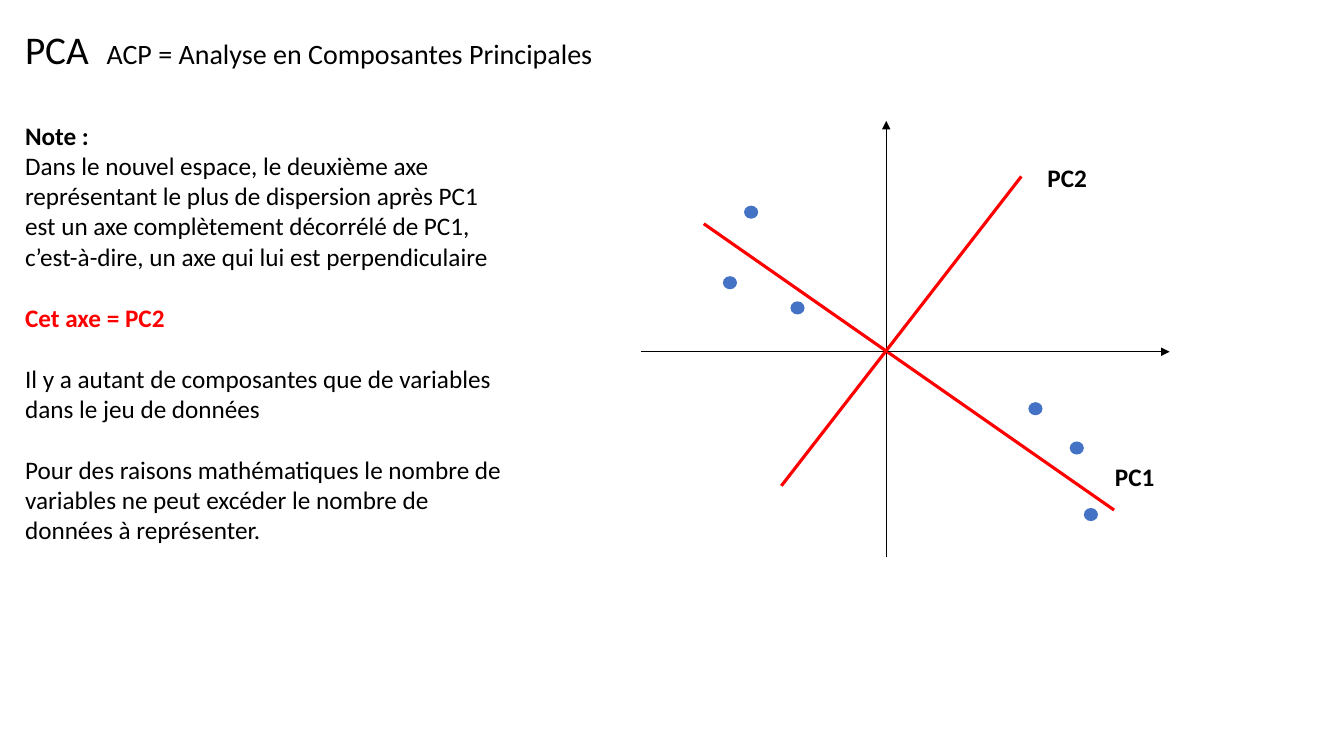
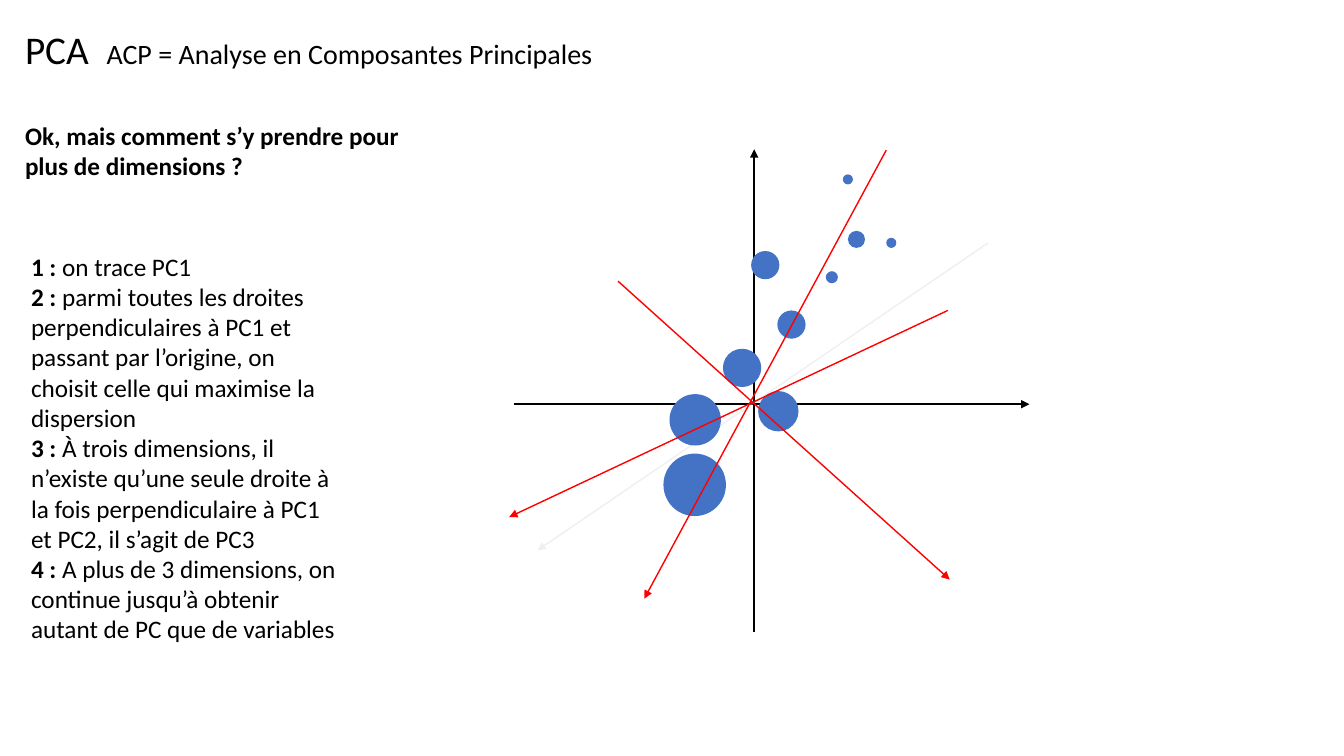
from pptx import Presentation
from pptx.dml.color import RGBColor
from pptx.enum.shapes import MSO_CONNECTOR, MSO_SHAPE
from pptx.oxml.ns import qn
from pptx.util import Inches, Pt
from lxml.etree import SubElement

FONT = "Calibri"
BLACK, RED, BLUE, GREY = "000000", "FF0000", "4472C4", "D9D9D9"
BODY_SIZE = 18
BLANK_LINE = 22  # points, one line of body text
color = RGBColor.from_string


def add_text(slide, box, paragraphs):
    """Each paragraph is (runs, colour, space before); each run is (text, size, bold)."""
    frame = slide.shapes.add_textbox(*map(Inches, box)).text_frame
    frame.word_wrap = True
    for index, (runs, text_color, gap) in enumerate(paragraphs):
        paragraph = frame.paragraphs[0] if index == 0 else frame.add_paragraph()
        paragraph.space_before = Pt(gap)
        paragraph.font.name = FONT
        paragraph.font.color.rgb = color(text_color)
        for text, size, bold in runs:
            run = paragraph.add_run()
            run.text = text
            run.font.name = FONT
            run.font.color.rgb = color(text_color)
            run.font.size, run.font.bold = Pt(size), bold


def add_line(slide, ends, line_color, width, arrow):
    connector = slide.shapes.add_connector(MSO_CONNECTOR.STRAIGHT, *map(Inches, ends))
    connector.line.color.rgb = color(line_color)
    connector.line.width = Pt(width)
    properties = connector._element.spPr
    outline = properties.find(qn("a:ln"))
    if line_color == GREY:  # the depth axis is faint
        SubElement(outline.find(".//" + qn("a:srgbClr")), qn("a:alpha"), val="40000")
    if arrow:
        SubElement(outline, qn("a:tailEnd"), type="triangle")
    SubElement(properties, qn("a:effectLst"))


# Slide 1: second component in the plane
note = [
    ("Note :", True, BLACK, 0),
    ("Dans le nouvel espace, le deuxième axe représentant le plus de dispersion après PC1 "
     "est un axe complètement décorrélé de PC1, c’est-à-dire, un axe qui lui est "
     "perpendiculaire", False, BLACK, 0),
    ("Cet axe = PC2", True, RED, BLANK_LINE),
    ("Il y a autant de composantes que de variables dans le jeu de données",
     False, BLACK, BLANK_LINE),
    ("Pour des raisons mathématiques le nombre de variables ne peut excéder le nombre "
     "de données à représenter.", False, BLACK, BLANK_LINE),
]
plane = {
    "back lines": [
        ((6.98, 2.22, 11.05, 5.06), RED, 2.25, False),
        ((8.79, 5.53, 8.79, 1.2), BLACK, 1, True),
        ((6.36, 3.49, 11.6, 3.49), BLACK, 1, True),
    ],
    "dots": [(left, top, 0.14, 0.13) for left, top in [
        (10.61, 4.38), (10.75, 5.04), (10.2, 3.99),
        (7.84, 2.99), (7.17, 2.74), (7.38, 2.04)]],
    "front lines": [((7.75, 4.82, 10.13, 1.75), RED, 2.25, False)],
    "texts": [
        ((0.15, 1.14, 4.92, 4.64),
         [([(text, BODY_SIZE, bold)], text_color, gap)
          for text, bold, text_color, gap in note]),
        ((10.96, 4.53, 0.73, 0.71), [([("PC1", BODY_SIZE, True)], BLACK, 0)]),
        ((10.29, 1.56, 0.73, 0.71), [([("PC2", BODY_SIZE, True)], BLACK, 0)]),
    ],
}

# Slide 2: more than two dimensions
steps = [
    "on trace PC1",
    "parmi toutes les droites perpendiculaires à PC1 et passant par l’origine, "
    "on choisit celle qui maximise la dispersion",
    "À trois dimensions, il n’existe qu’une seule droite à la fois perpendiculaire "
    "à PC1 et PC2, il s’agit de PC3",
    "A plus de 3 dimensions, on continue jusqu’à obtenir autant de PC que de variables",
]
space = {
    "back lines": [
        ((7.48, 6.27, 7.48, 1.48), BLACK, 1, True),
        ((5.1, 4.01, 10.21, 4.01), BLACK, 1, True),
        ((9.8, 2.41, 5.33, 5.46), GREY, 1, True),
    ],
    "dots": [(left, top, diameter, diameter) for left, top, diameter in [
        (8.36, 1.73, 0.1), (8.41, 2.29, 0.17), (8.79, 2.36, 0.1), (8.19, 2.69, 0.12),
        (7.45, 2.49, 0.28), (7.71, 3.08, 0.28), (7.17, 3.46, 0.38), (7.52, 3.88, 0.4),
        (6.64, 3.91, 0.51), (6.58, 4.5, 0.62)]],
    "front lines": [(ends, RED, 1, True) for ends in [
        (8.79, 1.49, 6.39, 5.94), (6.13, 2.79, 9.42, 5.75), (9.4, 3.08, 5.05, 5.13)]],
    "texts": [
        ((0.15, 1.14, 4.27, 1.01),
         [([("Ok, mais comment s’y prendre pour plus de dimensions ?", BODY_SIZE, True)],
           BLACK, 0)]),
        ((0.21, 2.44, 3.3, 4.34),
         [([(f"{number} : ", BODY_SIZE, True), (step, BODY_SIZE, False)], BLACK, 0)
          for number, step in enumerate(steps, 1)]),
    ],
}

# Build both slides
presentation = Presentation()
presentation.slide_width, presentation.slide_height = Inches(13.33), Inches(7.5)
title = [([("PCA  ", 28, False), ("ACP = Analyse en Composantes Principales", 20, False)],
          BLACK, 0)]

for content in (plane, space):
    slide = presentation.slides.add_slide(presentation.slide_layouts[6])
    add_text(slide, (0.15, 0.2, 8.22, 0.57), title)
    for line in content["back lines"]:
        add_line(slide, *line)
    for box in content["dots"]:
        dot = slide.shapes.add_shape(MSO_SHAPE.OVAL, *map(Inches, box))
        dot.shadow.inherit = False
        dot.fill.solid()
        dot.fill.fore_color.rgb = color(BLUE)
        dot.line.fill.background()
    for line in content["front lines"]:
        add_line(slide, *line)
    for box, paragraphs in content["texts"]:
        add_text(slide, box, paragraphs)

presentation.save("out.pptx")
